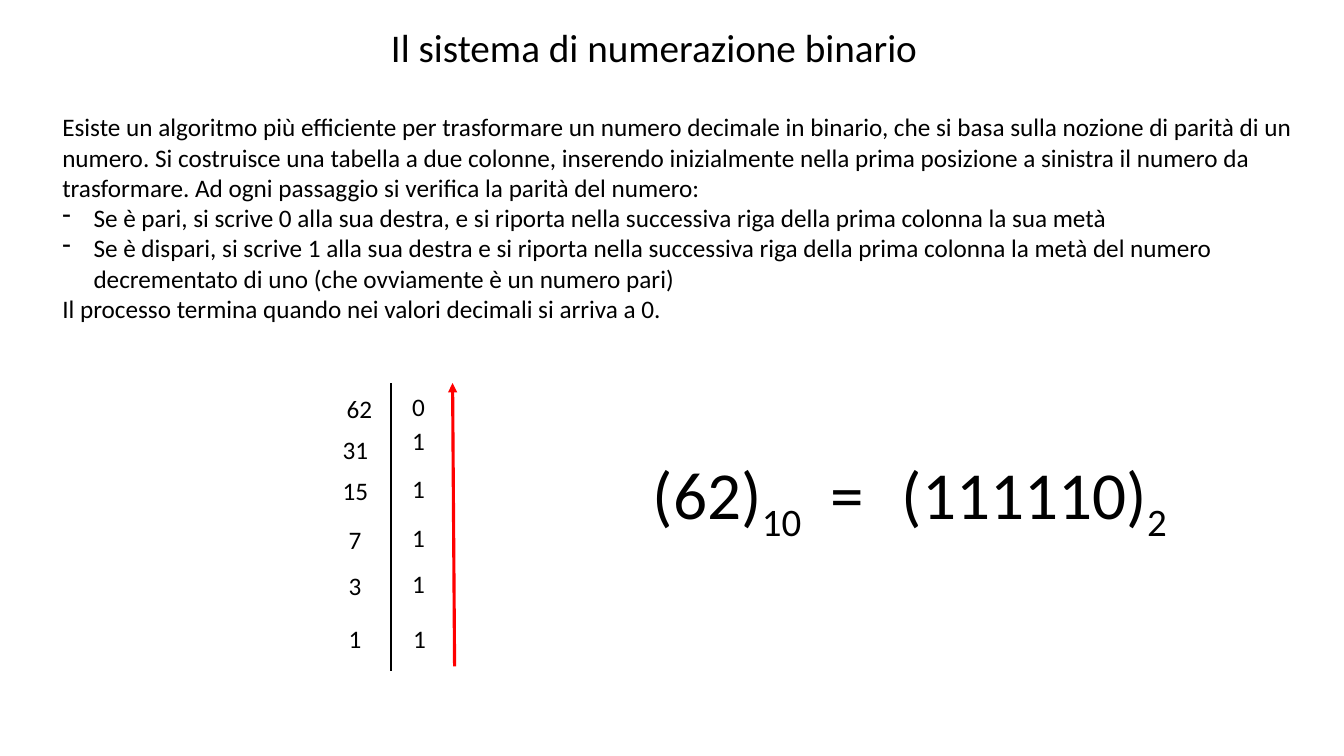
import pptx
import pptx.util
import pptx.dml.color
import pptx.enum.shapes
import pptx.oxml.ns
from lxml import etree

COLORS = {"text": "000000", "divider": "000000", "arrow": "FF0000"}

deck = pptx.Presentation()
deck.slide_width = pptx.util.Inches(13.33)
deck.slide_height = pptx.util.Inches(7.5)
slide = deck.slides.add_slide(deck.slide_layouts[6])
column = deck.slide_width / 40
row = deck.slide_height / 30


def add_text(left, top, width, height, paragraphs, size):
    box = slide.shapes.add_textbox(
        int(left * column), int(top * row), int(width * column), int(height * row))
    box.text_frame.word_wrap = True
    box.text_frame.text = paragraphs[0][0]
    for _ in paragraphs[1:]:
        box.text_frame.add_paragraph()
    for paragraph, pieces in zip(box.text_frame.paragraphs, paragraphs):
        paragraph.text = pieces[0]
        for piece in pieces[1:]:
            paragraph.add_run().text = piece
        for run in paragraph.runs:
            run.font.size = pptx.util.Pt(size)
            run.font.name = "Calibri"
            run.font.color.rgb = pptx.dml.color.RGBColor.from_string(COLORS["text"])
    return box.text_frame


def add_line(start, end, color, weight):
    line = slide.shapes.add_connector(
        pptx.enum.shapes.MSO_CONNECTOR.STRAIGHT,
        int(start[0] * column), int(start[1] * row),
        int(end[0] * column), int(end[1] * row))
    line.line.color.rgb = pptx.dml.color.RGBColor.from_string(COLORS[color])
    line.line.width = pptx.util.Pt(weight)
    properties = line._element.spPr
    etree.SubElement(properties, pptx.oxml.ns.qn("a:effectLst"))
    return properties


add_text(11.34, 0.72, 16.92, 2.28, [["Il sistema di numerazione binario"]], 28)

algorithm = [
    ["Esiste un algoritmo più efficiente per trasformare un numero decimale in binario, "
     "che si basa sulla nozione di parità di un numero. Si costruisce una tabella a due "
     "colonne, inserendo inizialmente nella prima posizione a sinistra il numero da "
     "trasformare. Ad ogni passaggio si verifica la parità del numero:"],
    ["Se è pari, si scrive 0 alla sua destra, e si riporta nella successiva riga della "
     "prima colonna la sua metà"],
    ["Se è dispari, si scrive 1 alla sua destra e si riporta nella successiva riga della "
     "prima colonna la metà del numero decrementato di uno (che ovviamente è un numero pari)"],
    ["Il processo termina quando nei valori decimali si arriva a 0."],
]
explanation = add_text(1.56, 4.24, 37.2, 8.88, algorithm, 18)
indent = pptx.util.Inches(0.31)
for parity_rule in explanation.paragraphs[1:3]:
    properties = parity_rule._p.get_or_add_pPr()
    properties.set("marL", str(int(indent)))
    properties.set("indent", str(-int(indent)))
    etree.SubElement(properties, pptx.oxml.ns.qn("a:buFontTx"))
    etree.SubElement(properties, pptx.oxml.ns.qn("a:buChar"), char="-")

number = 62
division_steps = [
    (10.02, 15.4, 11.97, 15.32),
    (9.9, 17.04, 11.97, 16.68),
    (9.9, 18.68, 11.97, 18.6),
    (10.08, 20.6, 11.97, 20.52),
    (10.08, 22.44, 11.97, 22.36),
    (10.08, 24.52, 12, 24.52),
]
for number_left, number_top, bit_left, bit_top in division_steps:
    number_width = 1.5 if number > 9 else 1
    add_text(number_left, number_top, number_width, 1.6, [[str(number)]], 18)
    add_text(bit_left, bit_top, 1.11, 1.6, [[str(number % 2)]], 18)
    number //= 2

add_line((11.64, 15.2), (11.64, 26.64), "divider", 1.5)
reading_order = add_line((13.53, 26.44), (13.47, 15.2), "arrow", 2.25)
etree.SubElement(
    reading_order.find(pptx.oxml.ns.qn("a:ln")), pptx.oxml.ns.qn("a:tailEnd"), type="triangle")

equation = [
    (19.14, 9, ["(62)", "10"]),
    (26.55, 9, ["(111110)", "2"]),
    (24.42, 2.31, ["="]),
]
for left, width, term in equation:
    term_text = add_text(left, 17.76, width, 3.64, [term], 48)
    for base in term_text.paragraphs[0].runs[1:]:
        base._r.get_or_add_rPr().set("baseline", "-25000")

deck.save("out.pptx")
